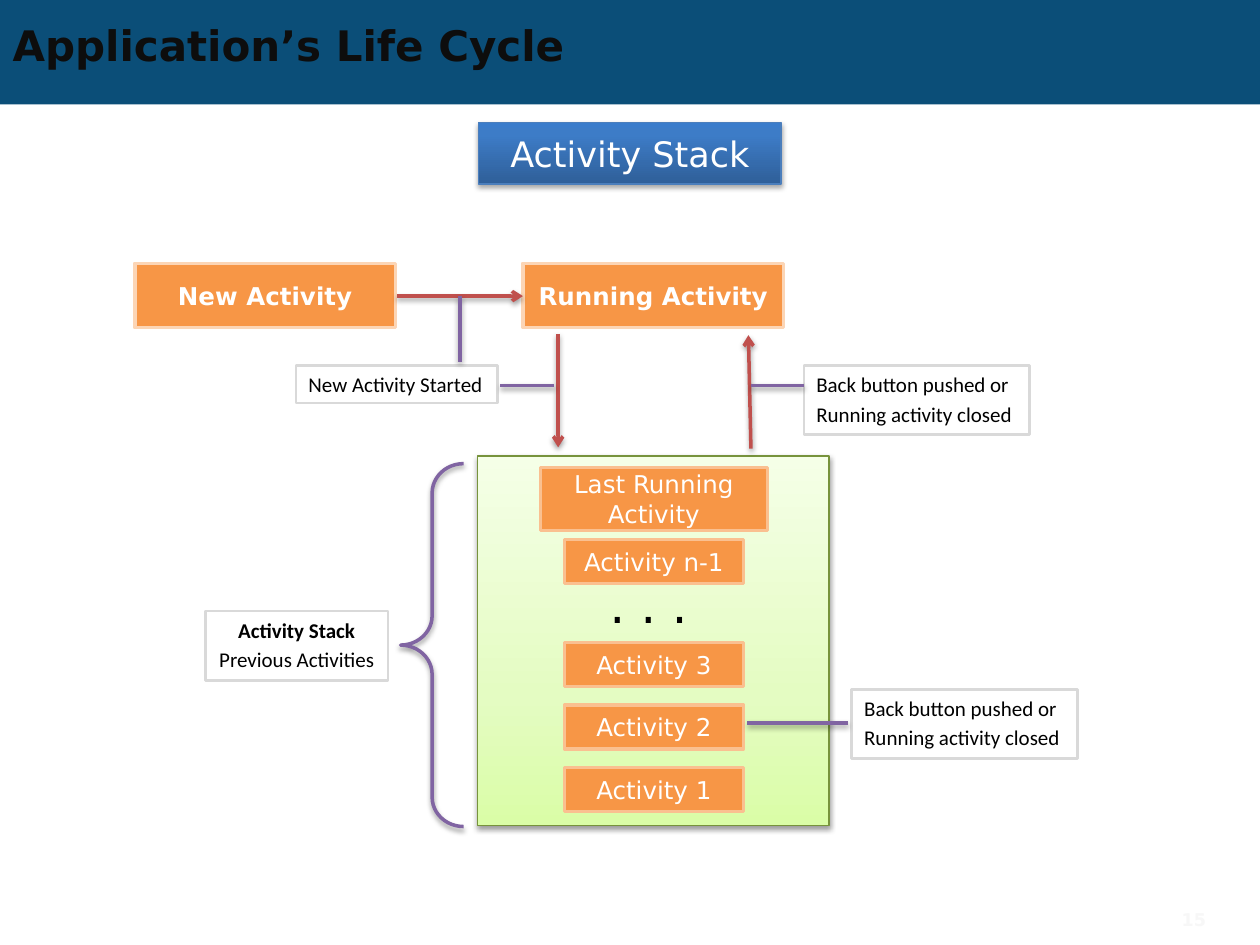
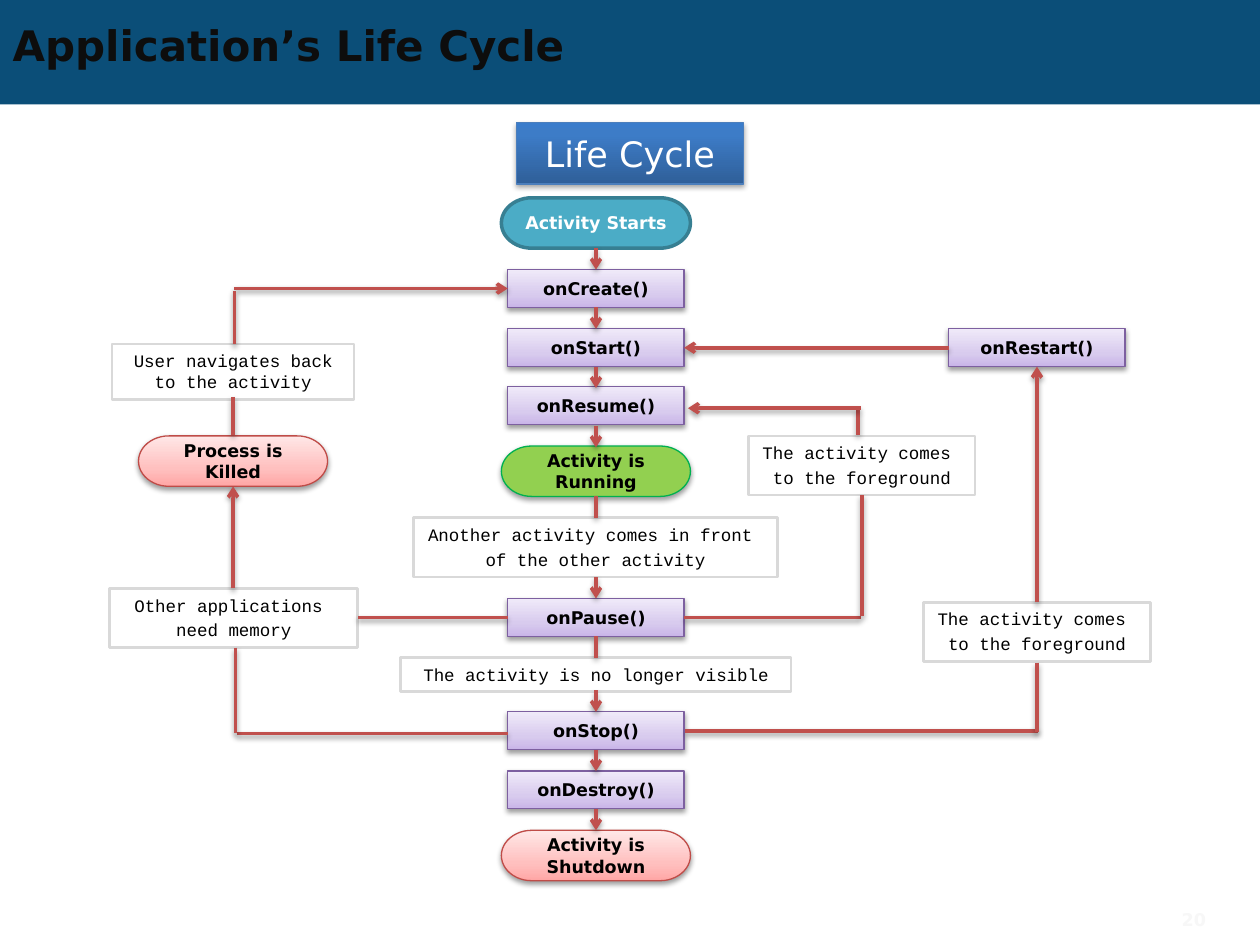
from lxml import etree
from pptx import Presentation
from pptx import util as u
from pptx.dml import color
from pptx.enum import shapes, text
from pptx.oxml import ns

RED, PURPLE, BLACK, WHITE = "C0504D", "8064A2", "000000", "FFFFFF"
SANS = "DejaVu Sans"
BLUES = [(0, "2F5F99"), (80, "3D7CC7"), (100, "3A7CCB")]
GREENS = [(0, "DAFDA7"), (35, "E4FCC2"), (100, "F5FFE7")]
PINKS = [(0, "FFA6A5"), (35, "FFC0BF"), (100, "FFE7E7")]
LILACS = [(0, "C9B5E8"), (35, "D8CBEE"), (100, "F0EAF9")]

RECTANGLE = shapes.MSO_SHAPE.RECTANGLE
TERMINATOR = shapes.MSO_SHAPE.FLOWCHART_TERMINATOR
BRACE = shapes.MSO_SHAPE.LEFT_BRACE
LEFT, CENTER = text.PP_ALIGN.LEFT, text.PP_ALIGN.CENTER

HEADING = dict(fill=BLUES, line="4B7EBC", size=20, ink=WHITE, shadow=35)
PANEL = dict(fill=GREENS, line="77933C", shadow=38)
MAIN = dict(fill="F79646", line="FCD5B5", width=2, size=14, ink=WHITE, bold=True)
STACKED = dict(fill="F79646", line="FAC090", width=2, size=14, ink=WHITE)
DOTS = dict(size=28, align=LEFT, anchor="TOP", wrap=False)
NOTE = dict(line="D9D9D9", width=1.5, size=12, font="Calibri", align=LEFT,
            anchor="TOP", wrap=False)
STACK_NOTE = NOTE | dict(align=CENTER)
CURLY = dict(preset=BRACE, line=PURPLE, width=2, shadow=38)
METHOD = dict(fill=LILACS, line="7D60A0", bold=True, shadow=38)
START = dict(preset=TERMINATOR, fill="4BACC6", line="377F92", width=2, ink=WHITE, bold=True)
RUNNING = dict(preset=TERMINATOR, fill="92D050", line="00B050", bold=True, shadow=38)
ENDED = dict(preset=TERMINATOR, fill=PINKS, line="BF4C48", bold=True, shadow=38)
EVENT = dict(line="D9D9D9", width=1.5, font="Courier New", anchor="TOP")


def paint(shape, line, width, shadow, arrow=False):
    properties = shape.element.spPr
    if line:
        shape.line.color.rgb = color.RGBColor.from_string(line)
        shape.line.width = u.Pt(width)
    else:
        shape.line.fill.background()
    if arrow:
        etree.SubElement(properties.get_or_add_ln(), ns.qn("a:tailEnd"), type="arrow")
    effects = etree.SubElement(properties, ns.qn("a:effectLst"))
    if shadow:
        outer = etree.SubElement(effects, ns.qn("a:outerShdw"), blurRad=str(u.Pt(3.1)),
                                 dist=str(u.Pt(1.7)), dir="5400000", rotWithShape="0")
        tint = etree.SubElement(outer, ns.qn("a:srgbClr"), val=BLACK)
        etree.SubElement(tint, ns.qn("a:alpha"), val=str(shadow * 1000))


def add_box(slide, place, words="", preset=RECTANGLE, fill=None, line=None, width=0.75,
            size=10, font=SANS, ink=BLACK, bold=False, align=CENTER, anchor="MIDDLE",
            wrap=True, shadow=0):
    shape = slide.shapes.add_shape(preset, *[u.Inches(value) for value in place])
    if isinstance(fill, list):
        shape.fill.gradient()
        shape.fill.gradient_angle = 90
        stops = shape.element.spPr.find(".//" + ns.qn("a:gsLst"))
        for stop in list(stops):
            stops.remove(stop)
        for position, tone in fill:
            stop = etree.SubElement(stops, ns.qn("a:gs"), pos=str(position * 1000))
            etree.SubElement(stop, ns.qn("a:srgbClr"), val=tone)
    elif fill:
        shape.fill.solid()
        shape.fill.fore_color.rgb = color.RGBColor.from_string(fill)
    else:
        shape.fill.background()
    paint(shape, line, width, shadow)
    if words:
        frame = shape.text_frame
        frame.text = words
        frame.word_wrap = wrap
        frame.vertical_anchor = text.MSO_ANCHOR[anchor]
        for index, paragraph in enumerate(frame.paragraphs):
            paragraph.alignment = align
            if index:
                paragraph.space_before = u.Pt(size * 0.2)
            for run in paragraph.runs:
                run.font.size = u.Pt(size)
                run.font.name = font
                run.font.bold = bold
                run.font.color.rgb = color.RGBColor.from_string(ink)
    return shape


closing = "Back button pushed or\nRunning activity closed"
stack_boxes = [
    ((3.79, 3.62, 2.79, 2.93), "", PANEL),
    ((1.07, 2.09, 2.07, 0.51), "New Activity", MAIN),
    ((4.15, 2.09, 2.07, 0.51), "Running Activity", MAIN),
    ((4.29, 3.71, 1.8, 0.5), "Last Running Activity", STACKED),
    ((4.48, 4.28, 1.42, 0.35), "Activity n-1", STACKED),
    ((4.74, 4.51, 0.9, 0.57), ". . .", DOTS),
    ((2.35, 2.9, 1.6, 0.3), "New Activity Started", NOTE),
    ((6.38, 2.9, 1.79, 0.55), closing, NOTE),
    ((6.76, 5.47, 1.79, 0.55), closing, NOTE),
    ((1.63, 4.85, 1.45, 0.55), "Activity Stack\nPrevious Activities", STACK_NOTE),
    ((3.18, 3.68, 0.5, 2.88), "", CURLY),
]
for step in range(3):
    stack_boxes.append(((4.48, 5.1 + 0.495 * step, 1.42, 0.35), f"Activity {3 - step}", STACKED))

stack_lines = [
    (3.15, 2.35, 4.15, 2.35, RED, True),
    (4.43, 2.65, 4.43, 3.55, RED, True),
    (5.96, 3.56, 5.94, 2.66, RED, True),
    (3.65, 2.87, 3.65, 2.35, PURPLE, False),
    (3.97, 3.06, 4.4, 3.06, PURPLE, False),
    (5.96, 3.06, 6.38, 3.06, PURPLE, False),
    (5.93, 5.74, 6.73, 5.74, PURPLE, False),
]

foreground = "The activity comes \nto the foreground"
cycle_boxes = [
    ((3.98, 1.57, 1.5, 0.4), "Activity Starts", START),
    ((3.98, 3.54, 1.5, 0.4), "Activity is Running", RUNNING),
    ((1.1, 3.46, 1.5, 0.4), "Process is Killed", ENDED),
    ((3.98, 6.59, 1.5, 0.4), "Activity is Shutdown", ENDED),
    ((3.28, 4.11, 2.89, 0.47),
     "Another activity comes in front \nof the other activity", EVENT),
    ((3.18, 5.22, 3.1, 0.27), "The activity is no longer visible", EVENT),
    ((5.94, 3.46, 1.8, 0.47), foreground, EVENT),
    ((7.33, 4.78, 1.8, 0.47), foreground, EVENT),
    ((0.89, 2.73, 1.92, 0.44), "User navigates back to the activity", EVENT),
    ((0.87, 4.67, 1.97, 0.47), "Other applications \nneed memory", EVENT),
]
for left, top, method in [
    (4.03, 2.14, "onCreate()"), (4.03, 2.61, "onStart()"), (4.03, 3.07, "onResume()"),
    (4.03, 4.75, "onPause()"), (4.03, 5.65, "onStop()"), (4.03, 6.12, "onDestroy()"),
    (7.53, 2.61, "onRestart()"),
]:
    cycle_boxes.append(((left, top, 1.4, 0.3), method, METHOD))

cycle_lines = [
    (4.03, 5.82, 1.88, 5.82, RED, False),
    (1.87, 5.14, 1.87, 5.82, RED, False),
    (1.85, 4.67, 1.85, 3.86, RED, True),
    (1.85, 3.15, 1.85, 3.45, RED, False),
    (1.86, 2.29, 4.03, 2.29, RED, True),
    (1.86, 2.31, 1.86, 2.73, RED, False),
    (8.23, 4.78, 8.23, 2.91, RED, True),
    (8.24, 5.8, 5.44, 5.8, RED, False),
    (8.23, 5.26, 8.23, 5.81, RED, False),
    (6.83, 4.9, 5.43, 4.9, RED, False),
    (6.84, 3.93, 6.84, 4.89, RED, False),
    (6.81, 3.25, 6.81, 3.45, RED, False),
    (6.83, 3.24, 5.46, 3.24, RED, True),
    (7.53, 2.76, 5.43, 2.76, RED, True),
    (4.03, 4.9, 2.84, 4.9, RED, False),
]
for top in (1.97, 2.44, 2.91, 3.38, 3.94, 4.58, 5.05, 5.48, 5.95, 6.42):
    cycle_lines.append((4.73, top, 4.73, top + 0.17, RED, top not in (3.94, 5.05)))

presentation = Presentation()
presentation.slide_width = u.Inches(10)
presentation.slide_height = u.Inches(7.5)
layout = presentation.slide_layouts[5]
band = None

for heading, heading_width, number, boxes, lines in [
    ("Activity Stack", 2.4, "15", stack_boxes, stack_lines),
    ("Life Cycle", 1.8, "20", cycle_boxes, cycle_lines),
]:
    slide = presentation.slides.add_slide(layout)
    if band is None:
        band = add_box(slide, (0, 0, 10, 0.83), fill="0B4E78")
        layout.shapes.element.insert(2, band.element)

    title = slide.shapes.title
    title.left, title.top = u.Inches(0), u.Inches(0.14)
    title.width, title.height = u.Inches(9), u.Inches(0.43)
    title.text_frame.text = "Application’s Life Cycle"
    title.text_frame.auto_size = text.MSO_AUTO_SIZE.NONE
    title.text_frame.vertical_anchor = text.MSO_ANCHOR.MIDDLE
    paragraph = title.text_frame.paragraphs[0]
    paragraph.alignment = LEFT
    title_font = paragraph.runs[0].font
    title_font.name, title_font.size, title_font.bold = SANS, u.Pt(24), True
    title_font.color.rgb = color.RGBColor.from_string("0D0D0D")

    add_box(slide, (5 - heading_width / 2, 0.97, heading_width, 0.49), heading, **HEADING)

    for place, words, style in boxes:
        shape = add_box(slide, place, words, **style)
        if style is CURLY:
            shape.adjustments[0] = 0.466
        if style is STACK_NOTE:
            shape.text_frame.paragraphs[0].runs[0].font.bold = True

    for x1, y1, x2, y2, tone, arrow in lines:
        connector = slide.shapes.add_connector(
            shapes.MSO_CONNECTOR.STRAIGHT, *[u.Inches(value) for value in (x1, y1, x2, y2)])
        paint(connector, tone, 2, 38, arrow)

    add_box(slide, (8.67, 7.15, 1, 0.3), number, ink="F7F7F7", bold=True,
            align=text.PP_ALIGN.RIGHT)

presentation.save("out.pptx")
